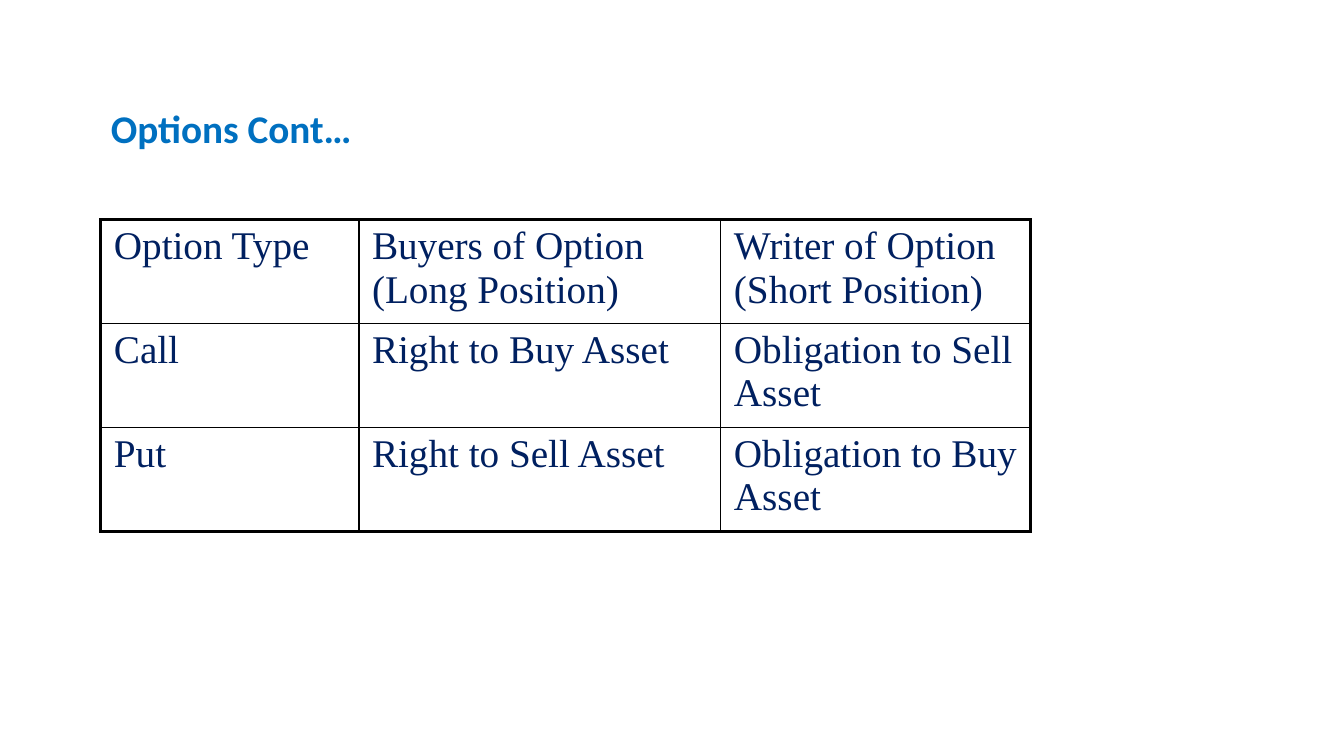
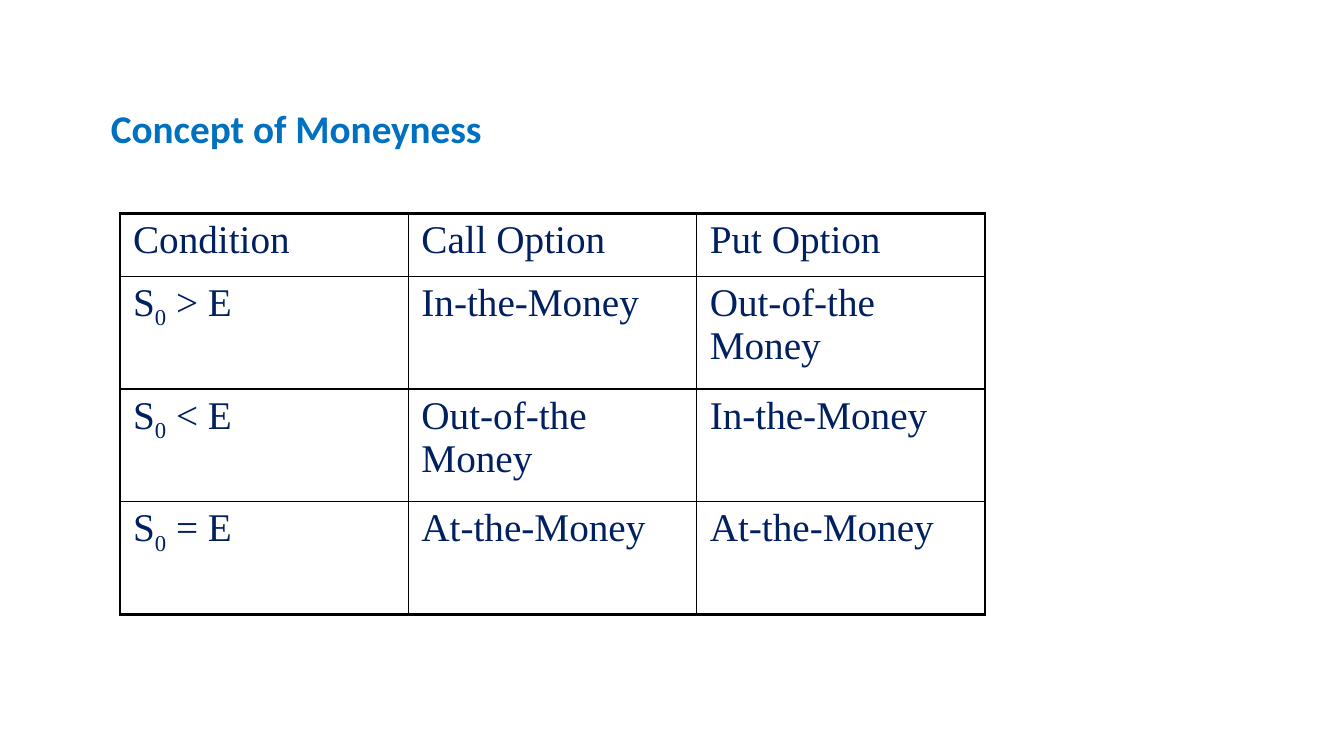
"""Build two slides on option positions and moneyness."""
from lxml import etree
from pptx import Presentation
from pptx.dml.color import RGBColor
from pptx.enum.text import MSO_ANCHOR, MSO_AUTO_SIZE, PP_ALIGN
from pptx.oxml.ns import qn
from pptx.util import Inches, Pt

LEFT = PP_ALIGN.LEFT
MIDDLE = MSO_ANCHOR.MIDDLE
TOP = MSO_ANCHOR.TOP
NO_AUTOFIT = MSO_AUTO_SIZE.NONE

COLORS = {"title": "0070C0", "text": "002060", "border": "000000"}
TITLE_FONT = "Calibri"
TABLE_FONT = "Times New Roman"
TEXT_SIZE = 28
OUTER, INNER = 2.25, 1

POSITIONS = [
    ["Option Type", "Buyers of Option (Long Position)", "Writer of Option (Short Position)"],
    ["Call", "Right to Buy Asset", "Obligation to Sell Asset"],
    ["Put", "Right to Sell Asset", "Obligation to Buy Asset"],
]
MONEYNESS = [
    ["Condition", "Call Option", "Put Option"],
    [("S", "0", " > E"), "In-the-Money", "Out-of-the Money"],
    [("S", "0", " < E"), "Out-of-the Money", "In-the-Money"],
    [("S", "0", " = E"), "At-the-Money", "At-the-Money"],
]


def format_run(r, font, color, bold=False):
    """Apply font, size, colour and weight to a run."""
    r.font.name = font
    r.font.size = Pt(TEXT_SIZE)
    r.font.bold = bold
    r.font.color.rgb = RGBColor.from_string(COLORS[color])


def add_titled_slide(prs, title):
    """Add a title-only slide with the shared title style."""
    s = prs.slides.add_slide(prs.slide_layouts[5])
    sp = s.shapes.title
    sp.left, sp.top, sp.width, sp.height = map(Inches, (1, 0.67, 11.33, 1.25))
    tf = sp.text_frame
    tf.text = title
    tf.auto_size = NO_AUTOFIT
    tf.vertical_anchor = MIDDLE
    p = tf.paragraphs[0]
    p.alignment = LEFT
    p.line_spacing = 0.9
    format_run(p.runs[0], TITLE_FONT, "title", bold=True)
    return s


def set_borders(cell, widths):
    """Draw solid cell borders from a mapping of side to points."""
    tcPr = cell._tc.get_or_add_tcPr()
    for side, width in widths.items():
        ln = etree.SubElement(tcPr, qn("a:ln" + side), w=str(Pt(width)))
        fill = etree.SubElement(ln, qn("a:solidFill"))
        etree.SubElement(fill, qn("a:srgbClr"), val=COLORS["border"])


def fill_cell(cell, content):
    """Write a string, or a tuple whose odd parts are subscripts."""
    cell.margin_left = cell.margin_right = Inches(0.13)
    cell.margin_top = cell.margin_bottom = Inches(0.05)
    cell.vertical_anchor = TOP
    p = cell.text_frame.paragraphs[0]
    p.alignment = LEFT
    space = etree.SubElement(p._p.get_or_add_pPr(), qn("a:spcBef"))
    etree.SubElement(space, qn("a:spcPct"), val="20000")
    parts = (content,) if isinstance(content, str) else content
    for i, text in enumerate(parts):
        r = p.add_run()
        r.text = text
        format_run(r, TABLE_FONT, "text")
        if i % 2:
            r._r.get_or_add_rPr().set("baseline", "-25000")


def add_grid(s, left, top, col_widths, row_heights, rows):
    """Add an unfilled table with a heavy outline and thin inner lines."""
    frame = s.shapes.add_table(
        len(row_heights), len(col_widths), Inches(left), Inches(top),
        Inches(sum(col_widths)), Inches(sum(row_heights)))
    table = frame.table
    table.first_row = table.horz_banding = False
    for col, width in zip(table.columns, col_widths):
        col.width = Inches(width)
    for row, height in zip(table.rows, row_heights):
        row.height = Inches(height)
    last_row, last_col = len(row_heights) - 1, len(col_widths) - 1
    for i, row in enumerate(rows):
        for j, content in enumerate(row):
            cell = table.cell(i, j)
            fill_cell(cell, content)
            edges = {"L": j == 0, "R": j == last_col, "T": i == 0, "B": i == last_row}
            set_borders(cell, {side: OUTER if outer else INNER
                               for side, outer in edges.items()})
            cell.fill.background()


def main():
    """Build and save the presentation."""
    prs = Presentation()
    prs.slide_width, prs.slide_height = Inches(13.33), Inches(7.5)
    s = add_titled_slide(prs, "Options Cont…")
    add_grid(s, 1, 2.18, [2.56, 3.59, 3.07], [1.03] * 3, POSITIONS)
    s = add_titled_slide(prs, "Concept of Moneyness")
    add_grid(s, 1.19, 2.12, [2.86] * 3, [0.62] + [1.12] * 3, MONEYNESS)
    prs.save("out.pptx")


if __name__ == "__main__":
    main()
